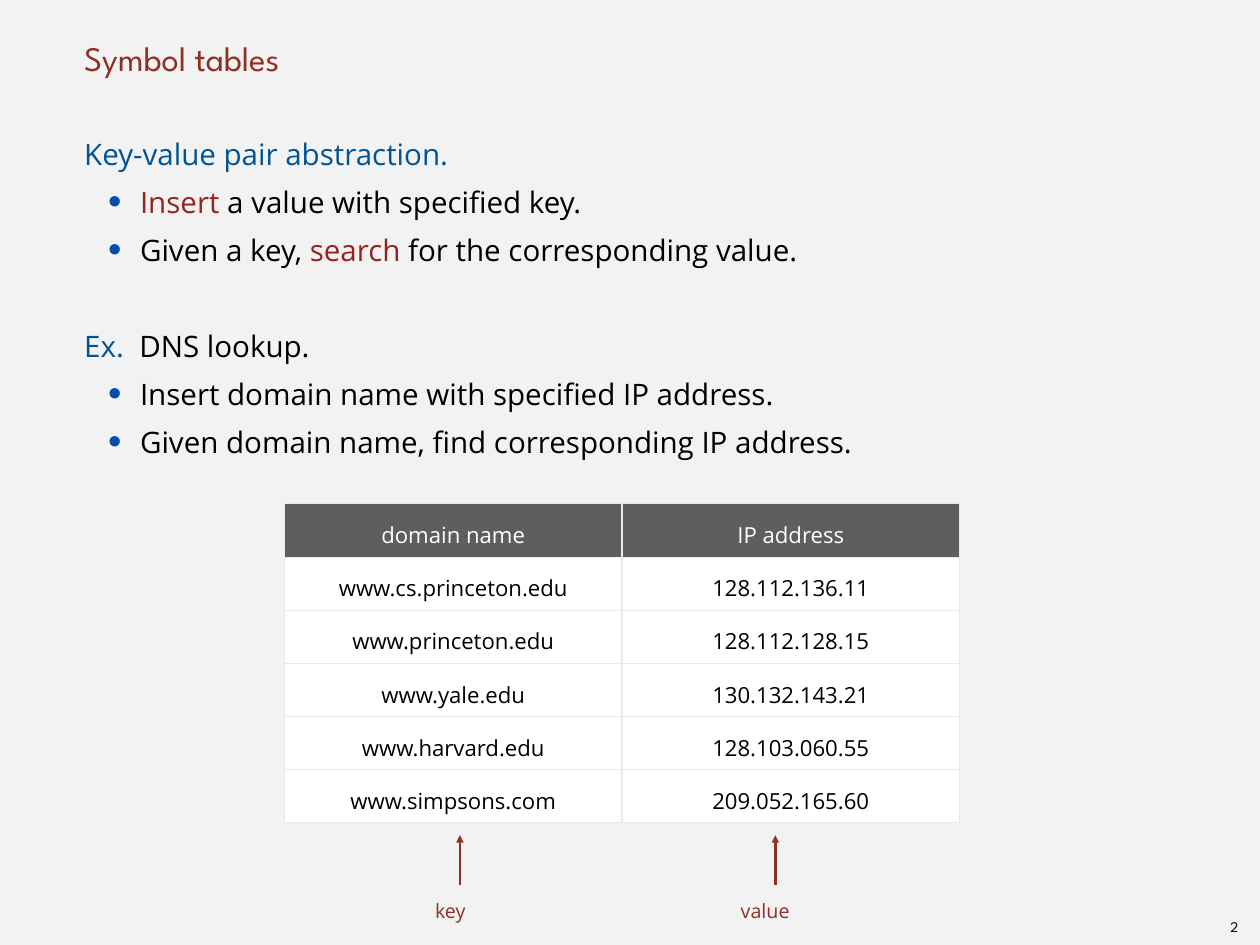
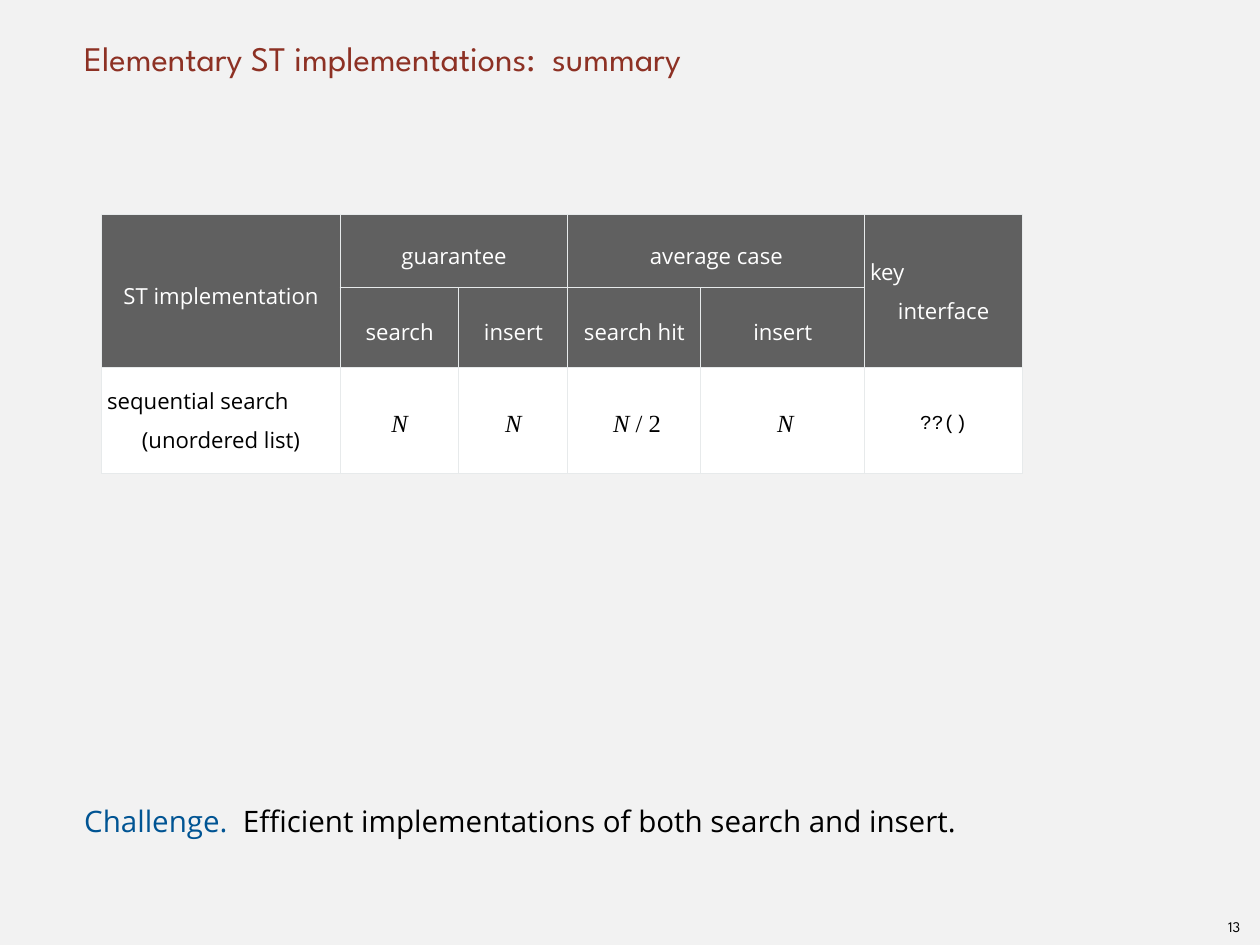
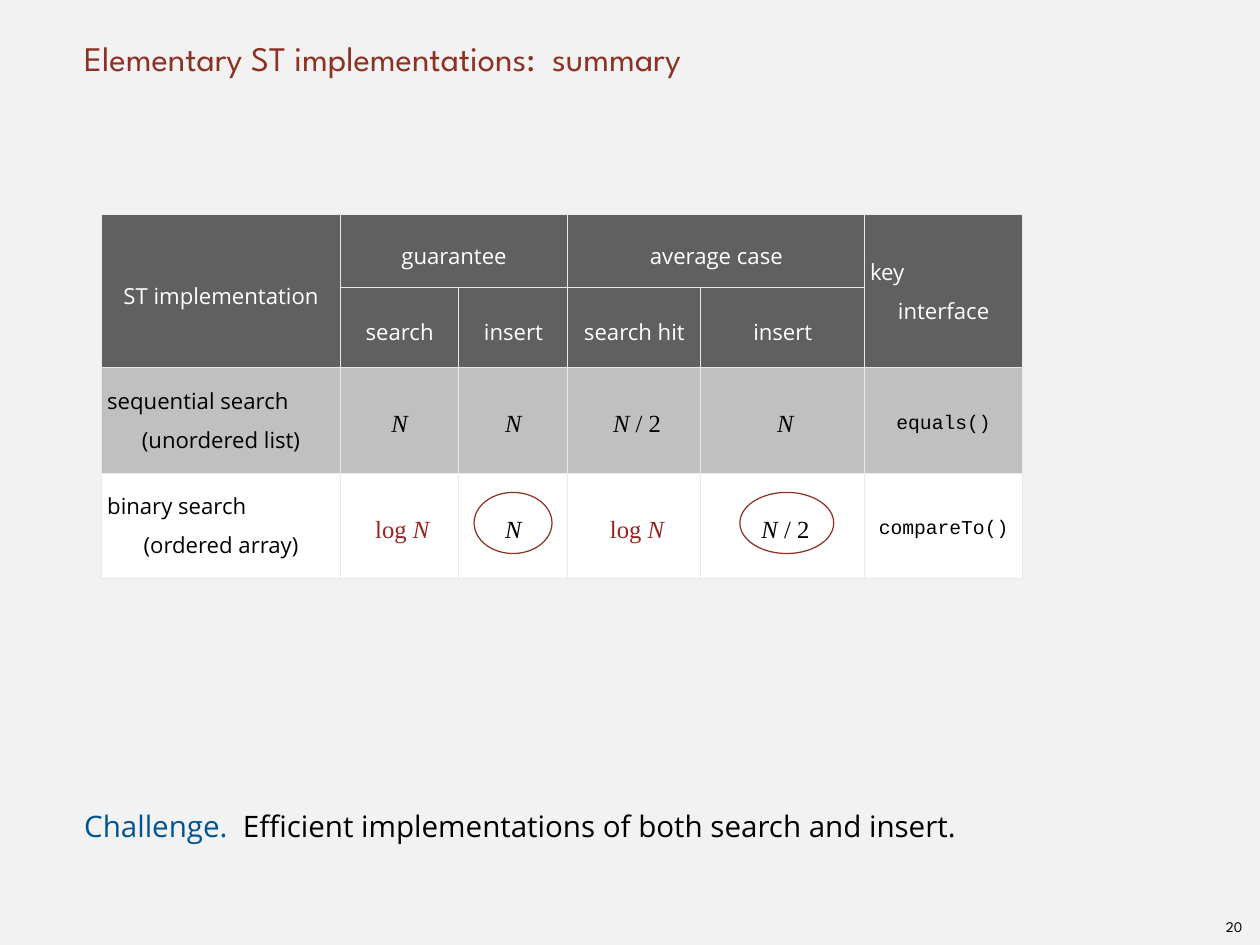
from dataclasses import dataclass

from lxml import etree
from pptx import Presentation
from pptx import util as u
from pptx.dml.color import RGBColor
from pptx.enum import shapes, text
from pptx.oxml import ns

IN = u.Inches


@dataclass(frozen=True)
class Theme:
    # Colours
    back: str = "F2F2F2"
    ink: str = "000000"
    white: str = "FFFFFF"
    brick: str = "8D3124"
    red: str = "96231F"
    blue: str = "005493"
    dot: str = "004DB2"
    head: str = "606060"
    dark: str = "5E5E5E"
    grey: str = "C0C0C0"
    rule: str = "E7EAEB"
    # Fonts
    sans: str = "Open Sans"
    show: str = "League Spartan"
    serif: str = "Times New Roman"
    mono: str = "Courier New"
    # Type sizes, in points
    title: int = 28
    body: int = 24
    math: int = 20
    cell: int = 18
    note: int = 16
    page: int = 12
    # Line pitch of body text, in points
    pitch: int = 39


T = Theme()
LEFT, MID = text.PP_ALIGN.LEFT, text.PP_ALIGN.CENTER
HIGH, CORE, LOW = (text.MSO_ANCHOR.TOP, text.MSO_ANCHOR.MIDDLE,
                   text.MSO_ANCHOR.BOTTOM)


# Text and XML helpers
def rgb(code):
    return RGBColor.from_string(code)


def sub(node, tag, **atts):
    return etree.SubElement(node, ns.qn("a:" + tag), atts)


def put(frame, *runs, size=T.body, font=T.sans, color=T.ink, align=LEFT,
        line=None, before=0, inset=0.06, hang=0, bullet=None):
    """Add one paragraph; a run is a string or (string, overrides)."""
    para = frame.paragraphs[0]
    if para.runs:
        para = frame.add_paragraph()
    props = para._p.get_or_add_pPr()
    props.set("marL", str(IN(inset)))
    props.set("indent", str(IN(-hang)))
    if bullet:
        para.level = 1
        sub(sub(props, "buClr"), "srgbClr", val=T.dot)
        sub(props, "buSzPct", val="167000")
        sub(props, "buFont", typeface=font)
        sub(props, "buChar", char=bullet)
    else:
        sub(props, "buNone")
    para.alignment = align
    para.space_before = u.Pt(before)
    if line:
        para.line_spacing = line
    for item in runs:
        words, extra = (item, {}) if isinstance(item, str) else item
        run = para.add_run()
        run.text = words
        run.font.size = u.Pt(size)
        run.font.name = font
        run.font.italic = extra.get("italic", False)
        run.font.color.rgb = rgb(extra.get("color", color))


def tint(words, color):
    return words, {"color": color}


def math(*runs, color=T.ink, inset=0):
    return runs, {"font": T.serif, "size": T.math, "color": color,
                  "inset": inset}


def code(words):
    return (words,), {"font": T.mono, "size": T.note}


class Deck:
    def __init__(self):
        self.file = Presentation()
        self.file.slide_width = IN(14.22)
        self.file.slide_height = IN(10.67)
        fill = self.file.slide_master.background.fill
        fill.solid()
        fill.fore_color.rgb = rgb(T.back)
        self.slide = None

    def frame(self, box, at, anchor=HIGH, pad=0, wrap=True):
        box.left, box.top, box.width, box.height = map(IN, at)
        frame = box.text_frame
        frame.margin_left = frame.margin_right = IN(pad)
        frame.margin_top = frame.margin_bottom = IN(pad)
        frame.vertical_anchor = anchor
        frame.word_wrap = wrap
        frame.auto_size = text.MSO_AUTO_SIZE.NONE
        return frame

    def start(self, title, page):
        self.slide = self.file.slides.add_slide(self.file.slide_layouts[1])
        frame = self.frame(self.slide.shapes.title, (0.89, 0, 12.44, 0.89),
                           LOW)
        put(frame, title, size=T.title, font=T.show, color=T.brick)
        self.label(page, (13.76, 10.3, 0.34, 0.32), anchor=CORE, pad=0.06,
                   wrap=False, size=T.page, font=T.show, color=T.ink,
                   align=MID, inset=0)

    def body(self, top, height):
        return self.frame(self.slide.placeholders[1],
                          (0.89, top, 12.44, height))

    def lead(self, frame, *runs, before=0):
        put(frame, *runs, line=u.Pt(T.pitch), before=before)

    def point(self, frame, *runs):
        put(frame, *runs, line=u.Pt(T.pitch), inset=0.69, hang=0.56,
            bullet="・")

    def label(self, words, at, anchor=HIGH, pad=0, wrap=True, **form):
        box = self.slide.shapes.add_textbox(*map(IN, at))
        put(self.frame(box, at, anchor, pad, wrap), words, **form)

    def arrow(self, x, low, high):
        line = self.slide.shapes.add_connector(
            shapes.MSO_CONNECTOR.STRAIGHT, IN(x), IN(low), IN(x), IN(high))
        line.line.color.rgb = rgb(T.brick)
        line.line.width = u.Pt(2)
        sub(line.line._get_or_add_ln(), "tailEnd", type="triangle")
        sub(line._element.spPr, "effectLst")

    def ring(self, *at):
        oval = self.slide.shapes.add_shape(shapes.MSO_SHAPE.OVAL,
                                           *map(IN, at))
        oval.shadow.inherit = False
        oval.fill.background()
        oval.line.color.rgb = rgb(T.brick)
        oval.line.width = u.Pt(1)

    def cell(self, cell, item, fill, color):
        cell.margin_left = cell.margin_right = IN(0.06)
        cell.margin_top = cell.margin_bottom = IN(0.06)
        cell.vertical_anchor = CORE
        props = cell._tc.get_or_add_tcPr()
        for side in "LRTB":
            edge = sub(props, "ln" + side, w=str(u.Pt(1)))
            sub(sub(edge, "solidFill"), "srgbClr", val=T.rule)
        cell.fill.solid()
        cell.fill.fore_color.rgb = rgb(fill)
        if item is None:
            return
        form = {"size": T.cell, "color": color, "inset": 0}
        if isinstance(item, str):
            # The last line is centred, any line above it is flush left
            *above, last = item.split("\n")
            for words in above:
                put(cell.text_frame, words, line=1.0, **form)
            runs, extra = (last,), {}
        else:
            runs, extra = item
        put(cell.text_frame, *runs,
            **{**form, "align": MID, "line": 1.3, **extra})

    def table(self, at, cols, highs, rows, fills, heads=1, spans=()):
        size = sum(cols), sum(highs)
        grid = self.slide.shapes.add_table(
            len(rows), len(cols), *map(IN, at + size)).table
        grid.first_row = grid.horz_banding = False
        for col, wide in zip(grid.columns, cols):
            col.width = IN(wide)
        for row, high in zip(grid.rows, highs):
            row.height = IN(high)
        for r, (row, fill) in enumerate(zip(rows, fills)):
            for c, item in enumerate(row):
                self.cell(grid.cell(r, c), item, fill,
                          T.white if r < heads else T.ink)
        for first, last in spans:
            grid.cell(*first).merge(grid.cell(*last))


# Slide on the key-value abstraction
def symbols(deck):
    deck.start("Symbol tables", "2")
    body = deck.body(1.39, 4.1)
    deck.lead(body, tint("Key-value pair abstraction.", T.blue))
    deck.point(body, tint("Insert", T.red), " a value with specified key.")
    deck.point(body, "Given a key, ", tint("search", T.red),
               " for the corresponding value.")
    deck.lead(body, tint("Ex.  ", T.blue), "DNS lookup.", before=T.pitch)
    deck.point(body, "Insert domain name with specified IP address.")
    deck.point(body, "Given domain name, find corresponding IP address.")

    rows = [("domain name", "IP address"),
            ("www.cs.princeton.edu", "128.112.136.11"),
            ("www.princeton.edu", "128.112.128.15"),
            ("www.yale.edu", "130.132.143.21"),
            ("www.harvard.edu", "128.103.060.55"),
            ("www.simpsons.com", "209.052.165.60")]
    deck.table((3.21, 5.69), [3.81] * 2, [0.6] * len(rows), rows,
               [T.dark] + [T.white] * 5)

    for words, left, x in (("key", 4.85, 5.19), ("value", 8.3, 8.75)):
        deck.label(words, (left, 10.02, 0.92, 0.36), size=T.note,
                   color=T.brick, line=1.5)
        deck.arrow(x, 9.99, 9.43)


# Slides that sum up the implementations
N = ("N", {"italic": True})
HEADS = [("ST implementation", "guarantee", None, "average case", None,
          "key\ninterface"),
         (None, "search", "insert", "search hit", "insert", None)]
SPANS = [((0, 0), (1, 0)), ((0, 1), (0, 2)), ((0, 3), (0, 4)),
         ((0, 5), (1, 5))]
HALF = math(N, " / 2", inset=0.06)


def linear(call):
    return ("sequential search\n(unordered list)", math(N), math(N), HALF,
            math(N, inset=0.06), code(call))


def summary(deck, page, rows, fills, top):
    deck.start("Elementary ST implementations:  summary", page)
    deck.lead(deck.body(top, 0.6), tint("Challenge.  ", T.blue),
              "Efficient implementations of both search and insert.")
    deck.table((1.15, 2.42), [2.69, 1.34, 1.23, 1.5, 1.85, 1.78],
               [0.83] * 2 + [1.19] * len(rows), HEADS + rows,
               [T.head] * 2 + fills, heads=2, spans=SPANS)


def main():
    deck = Deck()
    symbols(deck)
    summary(deck, "13", [linear("??()")], [T.white], 8.92)
    log = math("log ", N, color=T.red, inset=0.06)
    binary = ("binary search\n(ordered array)", log, math(N), log, HALF,
              code("compareTo()"))
    summary(deck, "20", [linear("equals()"), binary], [T.grey, T.white],
            8.98)
    for left, wide in ((5.35, 0.88), (8.35, 1.06)):
        deck.ring(left, 5.56, wide, 0.69)
    deck.file.save("out.pptx")


if __name__ == "__main__":
    main()
